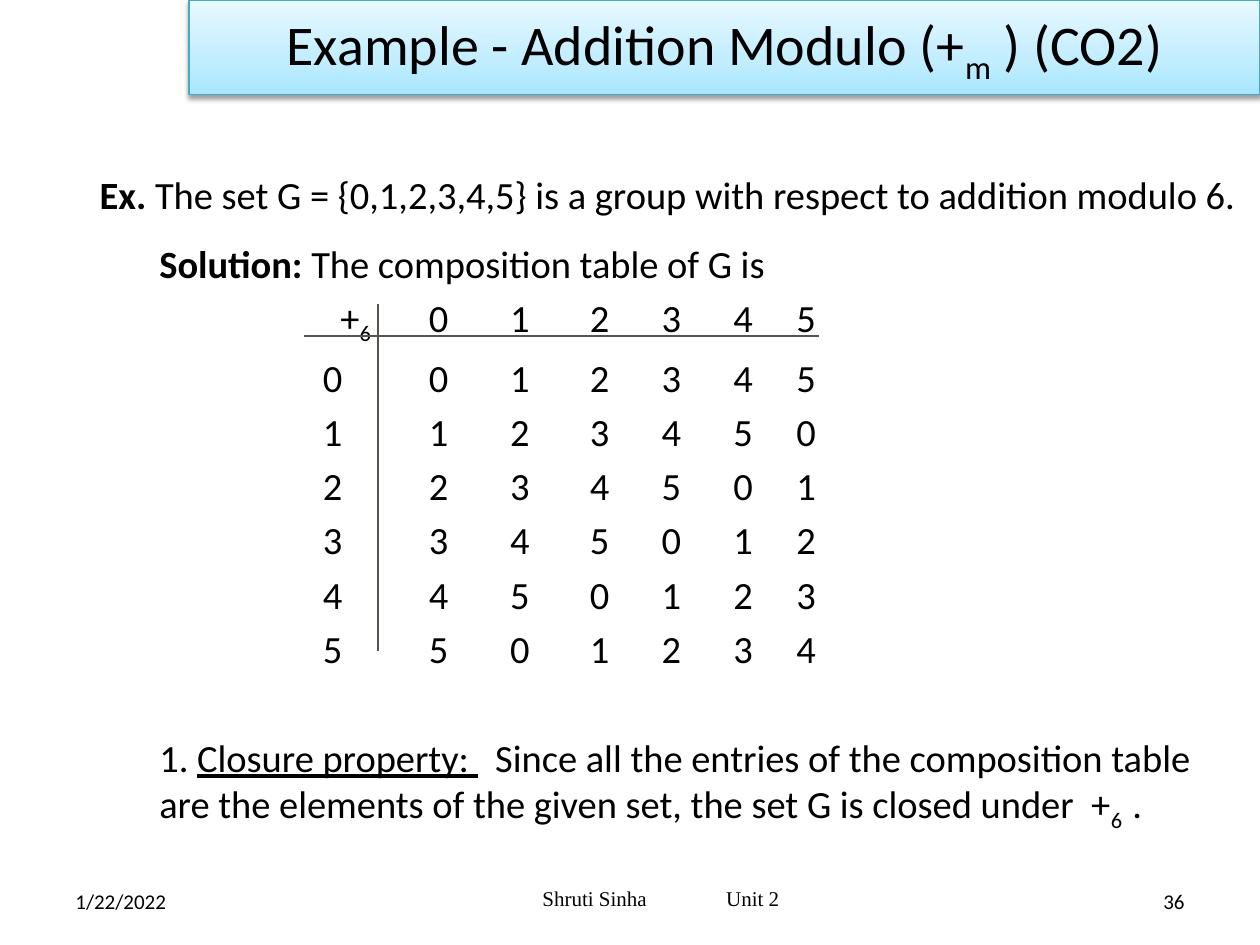
import copy

import lxml.etree
import pptx
import pptx.dml.color
import pptx.enum.shapes
import pptx.enum.text
import pptx.oxml.ns
import pptx.util

Pt = pptx.util.Pt
RGBColor = pptx.dml.color.RGBColor
Align = pptx.enum.text.PP_ALIGN
Anchor = pptx.enum.text.MSO_ANCHOR
qn = pptx.oxml.ns.qn

BLACK = RGBColor(0x00, 0x00, 0x00)
RULE_BROWN = RGBColor(0x5B, 0x52, 0x49)
BANNER_LINE = RGBColor(0x46, 0xAA, 0xC5)
BANNER_STOPS = [
    (0, RGBColor(0xA7, 0xE6, 0xFF)),
    (0.35, RGBColor(0xC1, 0xED, 0xFF)),
    (1, RGBColor(0xE7, 0xF8, 0xFF)),
]
MODULUS = 6
COLUMN_TABS = [93.5, 154, 200.5, 246, 287, 328, 364]
HEADER_TABS = [103.5] + COLUMN_TABS[1:]


def add_tabs(paragraph, positions):
    properties = paragraph._p.get_or_add_pPr()
    tab_list = lxml.etree.SubElement(properties, qn("a:tabLst"))
    for position in positions:
        tab = lxml.etree.SubElement(tab_list, qn("a:tab"))
        tab.set("pos", str(Pt(position)))
        tab.set("algn", "l")


def write_runs(paragraph, runs, size, font="Calibri"):
    for text, style in runs:
        run = paragraph.add_run()
        run.text = text
        run.font.name = font
        run.font.size = Pt(size)
        run.font.color.rgb = BLACK
        run.font.bold = style == "bold"
        run.font.underline = style == "underline"
        if style == "subscript":
            run.font._element.set("baseline", "-25000")


def add_text_box(slide, left, top, width, height, anchor=Anchor.MIDDLE):
    shape = slide.shapes.add_textbox(Pt(left), Pt(top), Pt(width), Pt(height))
    shape.text_frame.word_wrap = True
    shape.text_frame.vertical_anchor = anchor
    return shape.text_frame


def add_label(slide, box, runs, size, alignment):
    paragraph = add_text_box(slide, *box).paragraphs[0]
    paragraph.alignment = alignment
    write_runs(paragraph, runs, size)


def add_footer_center(slide):
    text_frame = add_text_box(slide, 180, 499, 396, 28.8)
    text_frame.margin_left = Pt(130)
    paragraph = text_frame.paragraphs[0]
    add_tabs(paragraph, [105])
    write_runs(paragraph, [("Shruti Sinha\tUnit 2", None)], 12, "Times New Roman")


def add_banner(slide):
    rectangle = pptx.enum.shapes.MSO_SHAPE.RECTANGLE
    shape = slide.shapes.add_shape(rectangle, Pt(108), Pt(0), Pt(612), Pt(54))
    shape.fill.gradient()
    stop_list = shape._element.spPr.find(".//" + qn("a:gsLst"))
    stop_list.append(copy.deepcopy(stop_list[-1]))
    for stop, (position, color) in zip(shape.fill.gradient_stops, BANNER_STOPS):
        stop.position = position
        stop.color.rgb = color
    shape.fill.gradient_angle = 90
    shape.line.color.rgb = BANNER_LINE
    shape.line.width = Pt(0.75)

    shape.shadow.inherit = False
    effects = shape._element.spPr.find(qn("a:effectLst"))
    shadow = lxml.etree.SubElement(effects, qn("a:outerShdw"))
    shadow.set("blurRad", str(Pt(3.1)))
    shadow.set("dist", str(Pt(1.6)))
    shadow.set("dir", "5400000")
    shadow_color = lxml.etree.SubElement(shadow, qn("a:srgbClr"), val="000000")
    lxml.etree.SubElement(shadow_color, qn("a:alpha"), val="38000")

    shape.text_frame.vertical_anchor = Anchor.MIDDLE
    paragraph = shape.text_frame.paragraphs[0]
    paragraph.alignment = Align.CENTER
    runs = [
        ("Example - Addition Modulo (+", None),
        ("m", "subscript"),
        (" ) (CO2)", None),
    ]
    write_runs(paragraph, runs, 32)


def add_body(slide):
    text_frame = add_text_box(slide, 84, 133.5, 612, 324, Anchor.TOP)

    def add_line(runs, tabs=(), space_before=4.5):
        paragraph = text_frame.add_paragraph()
        if tabs:
            add_tabs(paragraph, tabs)
        paragraph.space_before = Pt(space_before)
        write_runs(paragraph, runs, 22)

    solution = [("Solution: ", "bold"), ("The composition table of G is", None)]
    write_runs(text_frame.paragraphs[0], solution, 22)

    elements = range(MODULUS)
    headings = "".join(f"\t{element}" for element in elements)
    header = [("\t+", None), (str(MODULUS), "subscript"), (headings, None)]
    add_line(header, HEADER_TABS)
    for row in elements:
        sums = "".join(f"\t{(row + column) % MODULUS}" for column in elements)
        add_line([(f"\t{row}{sums}", None)], COLUMN_TABS)

    closure = [
        ("1. ", None),
        ("Closure property: ", "underline"),
        (
            "  Since all the entries of the composition table are the elements "
            "of the given set, the set G is closed under  +",
            None,
        ),
        ("6  ", "subscript"),
        (".", None),
    ]
    add_line(closure, space_before=36)


def add_rule(slide, start_x, start_y, end_x, end_y):
    connector = slide.shapes.add_connector(
        pptx.enum.shapes.MSO_CONNECTOR.STRAIGHT,
        Pt(start_x), Pt(start_y), Pt(end_x), Pt(end_y),
    )
    connector.line.color.rgb = RULE_BROWN
    connector.line.width = Pt(0.75)
    lxml.etree.SubElement(connector._element.spPr, qn("a:effectLst"))


def main():
    presentation = pptx.Presentation()
    presentation.slide_width = Pt(720)
    presentation.slide_height = Pt(540)
    slide = presentation.slides.add_slide(presentation.slide_layouts[6])

    add_label(slide, (36, 500.5, 168, 28.8), [("1/22/2022", None)], 12, Align.LEFT)
    add_label(slide, (516, 500.5, 168, 28.8), [("36", None)], 12, Align.RIGHT)
    add_banner(slide)
    add_footer_center(slide)
    statement = [
        ("Ex. ", "bold"),
        ("The set G = {0,1,2,3,4,5} is a group with respect to addition modulo 6. ", None),
    ]
    add_label(slide, (48, 66, 672, 90), statement, 22, Align.CENTER)
    add_body(slide)
    add_rule(slide, 216, 174, 216, 372)
    add_rule(slide, 174, 192, 468, 192)

    presentation.save("out.pptx")


if __name__ == "__main__":
    main()
